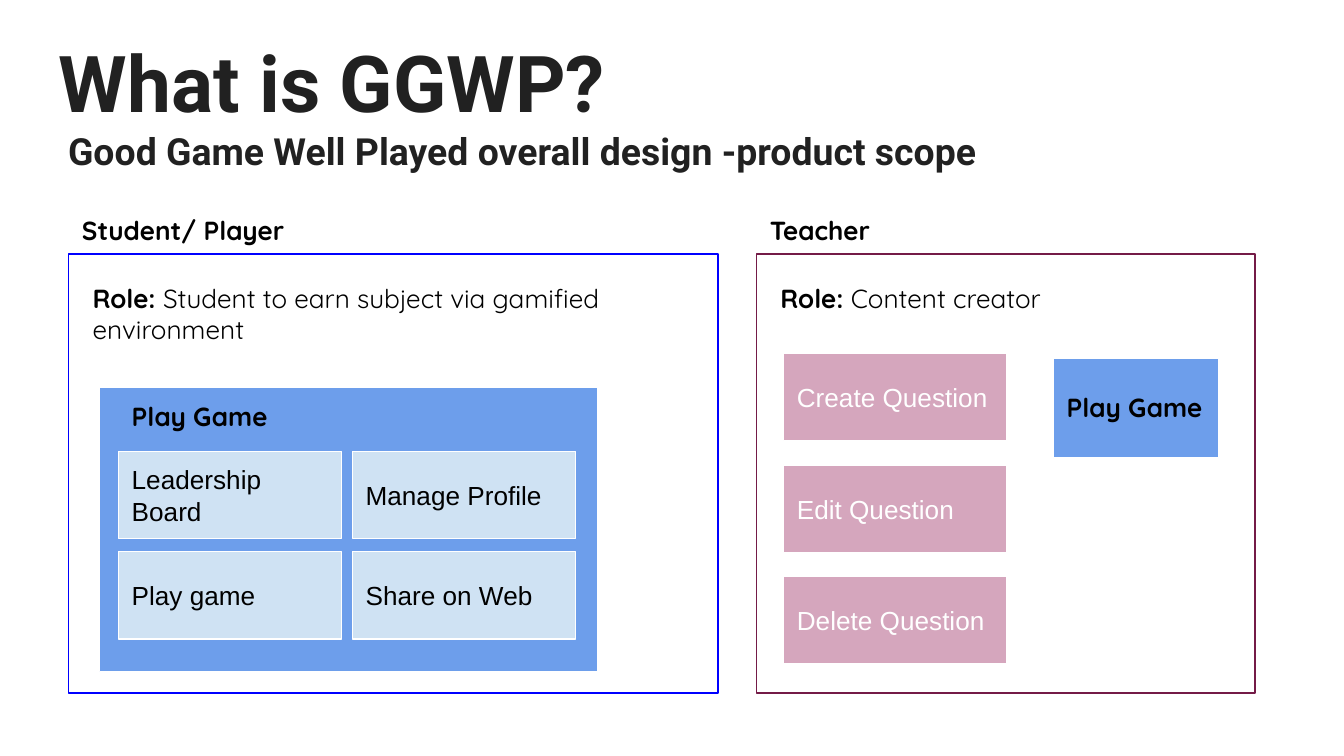
from dataclasses import dataclass

from pptx import Presentation
from pptx import util as u
from pptx.dml import color
from pptx.enum import shapes, text


@dataclass(frozen=True)
class Theme:
    title_ink: str = "212121"
    ink: str = "000000"
    white: str = "FFFFFF"
    student: str = "0000FF"
    teacher: str = "741B47"
    game: str = "6D9EEB"
    feature: str = "CFE2F3"
    question: str = "D5A6BD"
    title_font: str = "Roboto"
    label_font: str = "Quicksand"
    tile_font: str = "Arial"
    title_size: int = 42
    subtitle_size: int = 20
    body_size: int = 14


T = Theme()


def rgb(value):
    return color.RGBColor.from_string(value)


def add_run(p, words, font, size, ink, bold=False):
    r = p.add_run()
    r.text = words
    r.font.name = font
    r.font.size = u.Pt(size)
    r.font.bold = bold
    r.font.color.rgb = rgb(ink)


def setup_frame(sp, anchor=text.MSO_ANCHOR.TOP):
    tf = sp.text_frame
    tf.word_wrap = True
    tf.auto_size = text.MSO_AUTO_SIZE.NONE
    tf.vertical_anchor = anchor
    tf.margin_left = tf.margin_right = u.Cm(0.25)
    tf.margin_top = tf.margin_bottom = u.Cm(0.25)
    tf.paragraphs[0].alignment = text.PP_ALIGN.LEFT
    return tf


def add_title(s, heading, subtitle):
    sp = s.shapes.title
    sp.left, sp.top, sp.width, sp.height = u.Cm(0.86), u.Cm(0.4), u.Cm(23.67), u.Cm(2.24)
    tf = setup_frame(sp)
    add_run(tf.paragraphs[0], heading, T.title_font, T.title_size, T.title_ink, True)
    p = tf.add_paragraph()
    p.alignment = text.PP_ALIGN.LEFT
    add_run(p, subtitle, T.title_font, T.subtitle_size, T.title_ink, True)


def add_box(s, x, y, w, h, line, fill=None):
    sp = s.shapes.add_shape(shapes.MSO_SHAPE.RECTANGLE, u.Cm(x), u.Cm(y), u.Cm(w), u.Cm(h))
    sp.shadow.inherit = False
    sp.line.color.rgb = rgb(line)
    sp.line.width = u.Pt(0.75)
    if fill:
        sp.fill.solid()
        sp.fill.fore_color.rgb = rgb(fill)
    else:
        sp.fill.background()
    return sp


def add_label(s, x, y, w, bold, plain=""):
    sp = s.shapes.add_textbox(u.Cm(x), u.Cm(y), u.Cm(w), u.Cm(0.76))
    p = setup_frame(sp).paragraphs[0]
    add_run(p, bold, T.label_font, T.body_size, T.ink, True)
    if plain:
        add_run(p, plain, T.label_font, T.body_size, T.ink)


def add_tile(s, x, y, words, fill, ink):
    sp = add_box(s, x, y, 4.22, 1.65, T.white, fill)
    tf = setup_frame(sp, text.MSO_ANCHOR.MIDDLE)
    add_run(tf.paragraphs[0], words, T.tile_font, T.body_size, ink)


def add_panel(s, x, w, line, name, role, role_width):
    add_box(s, x, 4.8, w, 8.3, line)
    add_label(s, x, 3.81, 8.33, name)
    add_label(s, x + 0.2, 5.08, role_width, "Role: ", role)


def add_student(s):
    add_panel(s, 1.3, 12.27, T.student, "Student/ Player",
              "Student to earn subject via gamified environment", 11.56)
    add_box(s, 1.88, 7.32, 9.42, 5.38, T.white, T.game)
    add_label(s, 2.24, 7.32, 8.33, "Play Game")
    features = ["Leadership Board", "Manage Profile", "Play game", "Share on Web"]
    for i, words in enumerate(features):
        row, col = divmod(i, 2)
        add_tile(s, 2.24 + col * 4.42, 8.53 + row * 1.9, words, T.feature, T.ink)


def add_teacher(s):
    add_panel(s, 14.3, 9.42, T.teacher, "Teacher", "Content creator", 8.33)
    for i, action in enumerate(["Create", "Edit", "Delete"]):
        add_tile(s, 14.81, 6.68 + i * 2.11, f"{action} Question", T.question, T.white)
    add_box(s, 19.91, 6.78, 3.12, 1.88, T.white, T.game)
    add_label(s, 19.91, 7.14, 3.2, "Play Game")


def main():
    prs = Presentation()
    prs.slide_width, prs.slide_height = u.Cm(25.4), u.Cm(14.29)
    s = prs.slides.add_slide(prs.slide_layouts[5])
    add_title(s, "What is GGWP?", " Good Game Well Played overall design -product scope")
    add_student(s)
    add_teacher(s)
    prs.save("out.pptx")


if __name__ == "__main__":
    main()
